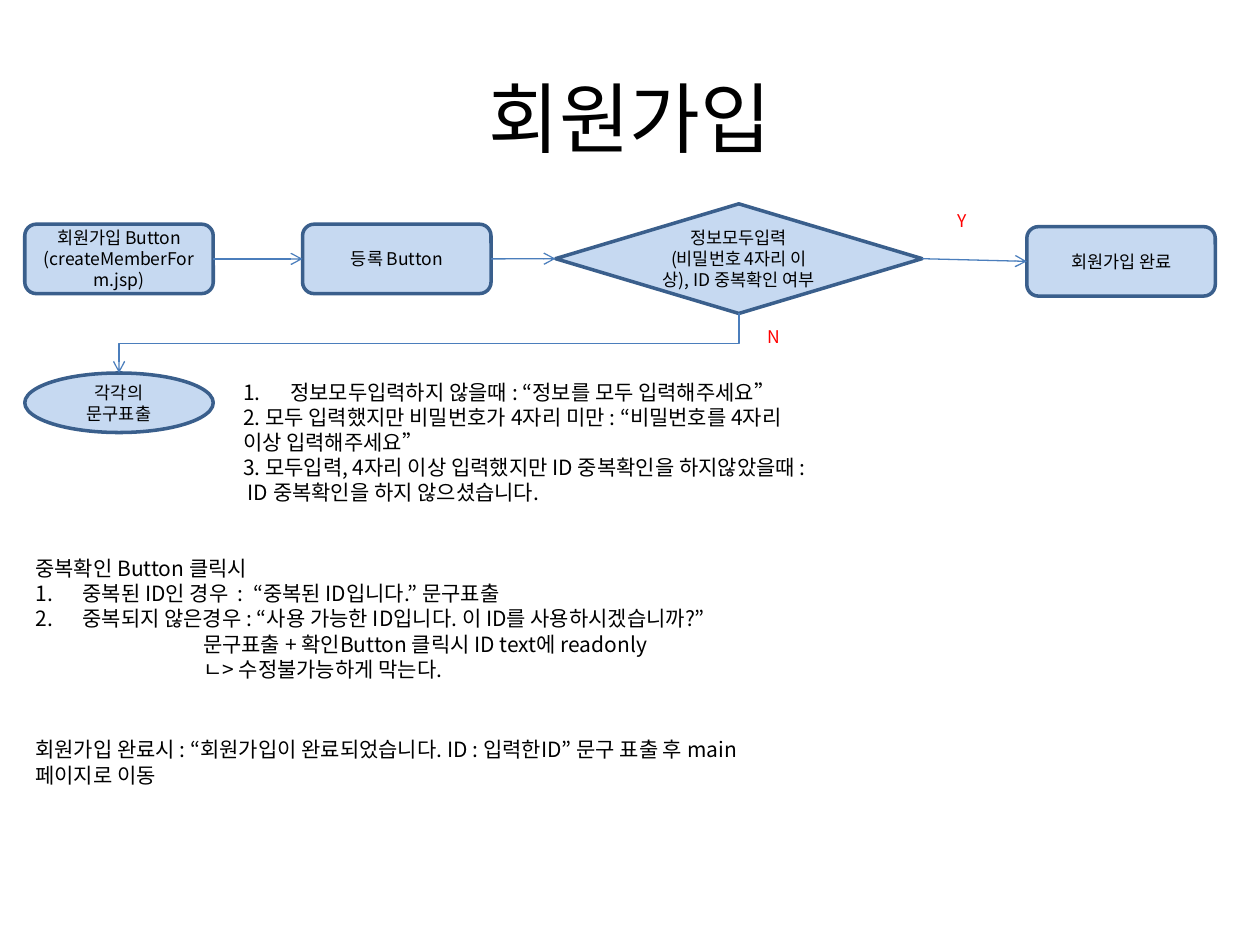
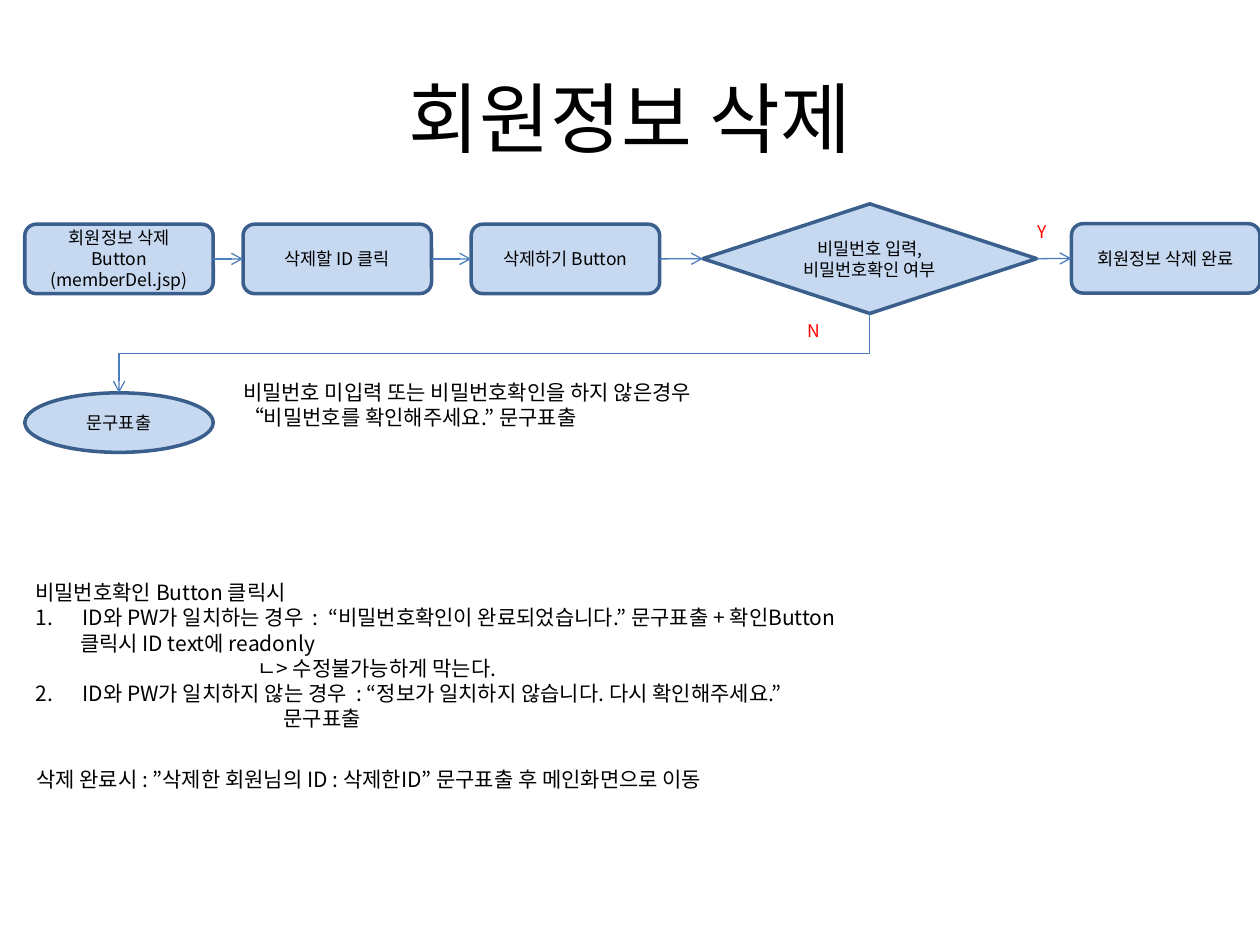
from pptx import Presentation
from pptx.dml.color import RGBColor
from pptx.enum import shapes, text
from pptx.oxml.ns import qn
from pptx.util import Cm, Pt
from lxml import etree

THEME = {
    "font": "Noto Sans CJK KR",
    "title": 44, "body": 12, "label": 10,
    "ink": "000000", "branch": "FF0000", "paper": "FFFFFF",
    "box": "C6D9F1", "edge": "3A5F8C", "arrow": "4B7EBC",
    "edge_width": 2, "arrow_width": 0.75,
}

# Shared measures in cm
BOX_W, BOX_H, BOX_TOP = 3.8, 1.4, 4.52
DECISION_TOP, DECISION_H = 4.11, 2.21
MESSAGE_LEFT, MESSAGE_H = 0.5, 1.2
BRANCH_W, BRANCH_H = 1.0, 0.69

# Content: steps are (text, left, top); decision is (text, left, width);
# branch labels are (left, top); notes are (left, top, width, height, paragraphs).
# A paragraph is plain text or (text, {"number": n} or {"indent": cm}).
SLIDES = [
    {
        "title": "회원가입",
        "steps": [("회원가입 Button (createMemberForm.jsp)", 0.5, BOX_TOP),
                  ("등록 Button", 6.1, BOX_TOP)],
        "decision": ("정보모두입력(비밀번호 4자리 이상), ID 중복확인 여부", 11.2, 7.39),
        "done": ("회원가입 완료", 20.7, 4.57),
        "yes": (18.9, 4.11), "no": (15.09, 6.43),
        "message": ("각각의 문구표출", 7.52),
        "cases": (4.65, 7.52, 11.81, 3.33, [
            ("정보모두입력하지 않을때 : “정보를 모두 입력해주세요”", {"number": 1}),
            "2. 모두 입력했지만 비밀번호가 4자리 미만 : “비밀번호를 4자리 이상 입력해주세요”",
            "3. 모두입력, 4자리 이상 입력했지만 ID 중복확인을 하지않았을때 : "
            "ID 중복확인을 하지 않으셨습니다.",
        ]),
        "rules": (0.46, 11.07, 16, 2.82, [
            "중복확인 Button 클릭시",
            ("중복된 ID인 경우  :  “중복된 ID입니다.” 문구표출", {"number": 1}),
            ("중복되지 않은경우 : “사용 가능한 ID입니다. 이 ID를 사용하시겠습니까?”",
             {"number": 2}),
            ("문구표출 + 확인Button 클릭시 ID text에 readonly", {"indent": 3.38}),
            ("ㄴ> 수정불가능하게 막는다.", {"indent": 3.38}),
        ]),
        "result": (0.46, 14.73, 15.44, 1.27, [
            "회원가입 완료시 : “회원가입이 완료되었습니다. ID : 입력한ID” "
            "문구 표출 후 main 페이지로 이동"]),
    },
    {
        "title": "회원정보 삭제",
        "steps": [("회원정보 삭제 Button (memberDel.jsp)", 0.5, BOX_TOP),
                  ("삭제할 ID 클릭", 4.9, BOX_TOP),
                  ("삭제하기 Button", 9.5, BOX_TOP)],
        "decision": ("비밀번호 입력, 비밀번호확인 여부", 14.17, 6.73),
        "done": ("회원정보 삭제 완료", 21.6, 4.51),
        "yes": (20.5, 4.32), "no": (15.9, 6.32),
        "message": ("문구표출", 7.92),
        "cases": (4.65, 7.52, 11.81, 1.27, [
            "비밀번호 미입력 또는 비밀번호확인을 하지 않은경우",
            "“비밀번호를 확인해주세요.” 문구표출",
        ]),
        "rules": (0.46, 11.56, 18.24, 3.33, [
            "비밀번호확인 Button 클릭시",
            ("ID와 PW가 일치하는 경우  :  “비밀번호확인이 완료되었습니다.” "
             "문구표출 + 확인Button", {"number": 1}),
            ("클릭시 ID text에 readonly", {"indent": 0.9}),
            ("ㄴ> 수정불가능하게 막는다.", {"indent": 4.47}),
            ("ID와 PW가 일치하지 않는 경우  : “정보가 일치하지 않습니다. "
             "다시 확인해주세요.”", {"number": 2}),
            ("문구표출", {"indent": 5}),
        ]),
        "result": (0.48, 15.32, 15.62, 0.76, [
            "삭제 완료시 : ”삭제한 회원님의 ID : 삭제한ID” "
            "문구표출 후 메인화면으로 이동"]),
    },
]


def rgb(name):
    return RGBColor.from_string(THEME[name])


def write(frame, paragraphs, size="body", color="ink", align="LEFT", anchor="TOP"):
    """Fill a text frame with formatted, optionally numbered or indented lines."""
    frame.word_wrap = True
    frame.vertical_anchor = getattr(text.MSO_ANCHOR, anchor)
    for index, item in enumerate(paragraphs):
        words, layout = (item, {}) if isinstance(item, str) else item
        line = frame.paragraphs[0] if index == 0 else frame.add_paragraph()
        line.alignment = getattr(text.PP_ALIGN, align)
        line.space_before = Pt(0)
        props = line._p.get_or_add_pPr()
        number = layout.get("number")
        hang = 0.95 if number else 0
        props.set("marL", str(Cm(layout.get("indent", hang))))
        props.set("indent", str(-Cm(hang)))
        if number:
            etree.SubElement(props, qn("a:buFont"), typeface="+mj-lt")
            etree.SubElement(props, qn("a:buAutoNum"), type="arabicPeriod",
                             startAt=str(number))
        else:
            etree.SubElement(props, qn("a:buNone"))
        run = line.add_run()
        run.text = words
        run.font.size = Pt(THEME[size])
        run.font.color.rgb = rgb(color)
        run.font.name = THEME["font"]
        etree.SubElement(run._r.get_or_add_rPr(), qn("a:ea"), typeface=THEME["font"])


def place(shape, left, top, width, height):
    shape.left, shape.top = Cm(left), Cm(top)
    shape.width, shape.height = Cm(width), Cm(height)


def add_node(slide, kind, words, left, top, width, height,
             fill="box", edge="edge", color="ink"):
    node = slide.shapes.add_shape(getattr(shapes.MSO_SHAPE, kind),
                                  Cm(left), Cm(top), Cm(width), Cm(height))
    node.shadow.inherit = False
    node.fill.solid()
    node.fill.fore_color.rgb = rgb(fill)
    node.line.color.rgb = rgb(edge)
    node.line.width = Pt(THEME["edge_width"])
    write(node.text_frame, [words], "label", color, "CENTER", "MIDDLE")
    return node


def add_arrow(slide, start, start_site, end, end_site, kind="STRAIGHT"):
    arrow = slide.shapes.add_connector(getattr(shapes.MSO_CONNECTOR, kind), 0, 0, 0, 0)
    arrow.begin_connect(start, start_site)
    arrow.end_connect(end, end_site)
    arrow.line.color.rgb = rgb("arrow")
    arrow.line.width = Pt(THEME["arrow_width"])
    etree.SubElement(arrow.line._get_or_add_ln(), qn("a:tailEnd"), type="arrow")
    etree.SubElement(arrow._element.spPr, qn("a:effectLst"))
    return arrow


def add_return_arrow(slide, decision, message):
    """Go down, left and down again: an elbow turned by a quarter."""
    arrow = add_arrow(slide, decision, 2, message, 0, "ELBOW")
    across, down = arrow.width, arrow.height
    middle_x, middle_y = arrow.left + across // 2, arrow.top + down // 2
    arrow.left, arrow.top = middle_x - down // 2, middle_y - across // 2
    arrow.width, arrow.height = down, across
    frame = arrow._element.spPr.find(qn("a:xfrm"))
    frame.attrib.pop("flipH", None)
    frame.set("rot", "5400000")


def add_note(slide, left, top, width, height, paragraphs):
    note = slide.shapes.add_textbox(Cm(left), Cm(top), Cm(width), Cm(height))
    write(note.text_frame, paragraphs)
    note.text_frame.auto_size = text.MSO_AUTO_SIZE.SHAPE_TO_FIT_TEXT


def build(deck, content):
    slide = deck.slides.add_slide(deck.slide_layouts[1])

    # Title and numbered rules
    title, rules = slide.placeholders
    place(title, 1.27, 0.76, 22.86, 3.18)
    write(title.text_frame, [content["title"]], "title", align="CENTER", anchor="MIDDLE")
    *area, lines = content["rules"]
    place(rules, *area)
    write(rules.text_frame, lines)
    rules.text_frame.auto_size = text.MSO_AUTO_SIZE.SHAPE_TO_FIT_TEXT

    # Flow from the first step to completion
    flow = [add_node(slide, "ROUNDED_RECTANGLE", *step, BOX_W, BOX_H)
            for step in content["steps"]]
    question, left, width = content["decision"]
    decision = add_node(slide, "DIAMOND", question, left, DECISION_TOP, width, DECISION_H)
    done = add_node(slide, "ROUNDED_RECTANGLE", *content["done"], BOX_W, BOX_H)
    flow += [decision, done]

    # Branch labels
    for letter, spot in (("Y", content["yes"]), ("N", content["no"])):
        add_node(slide, "RECTANGLE", letter, *spot, BRANCH_W, BRANCH_H,
                 fill="paper", edge="paper", color="branch")

    # Error message and arrows
    words, top = content["message"]
    message = add_node(slide, "OVAL", words, MESSAGE_LEFT, top, BOX_W, MESSAGE_H)
    for start, end in zip(flow, flow[1:]):
        add_arrow(slide, start, 3, end, 1)
    add_return_arrow(slide, decision, message)

    # Explanations
    for part in ("cases", "result"):
        add_note(slide, *content[part])


deck = Presentation()
deck.slide_width, deck.slide_height = Cm(25.4), Cm(19.05)
for content in SLIDES:
    build(deck, content)
deck.save("out.pptx")
